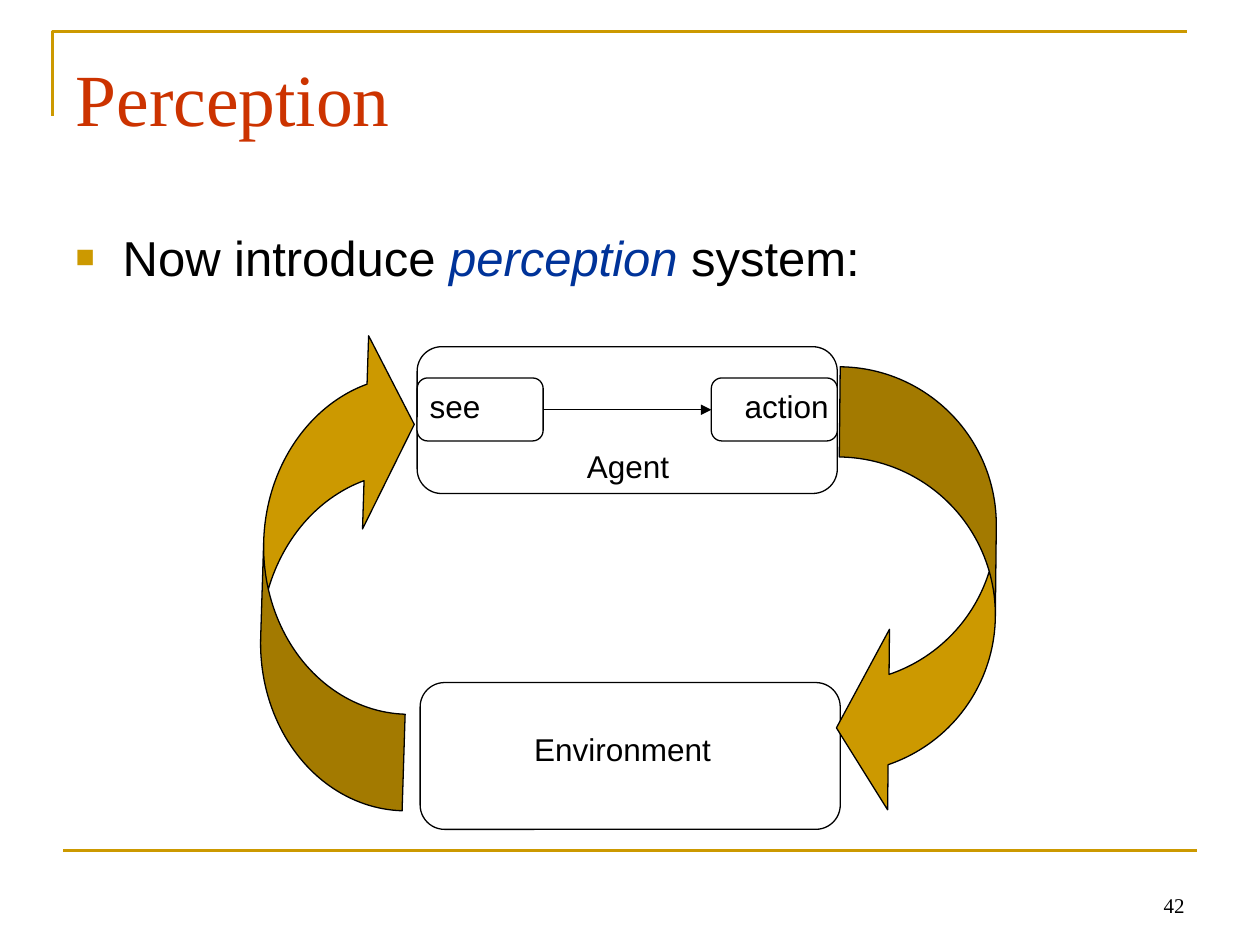
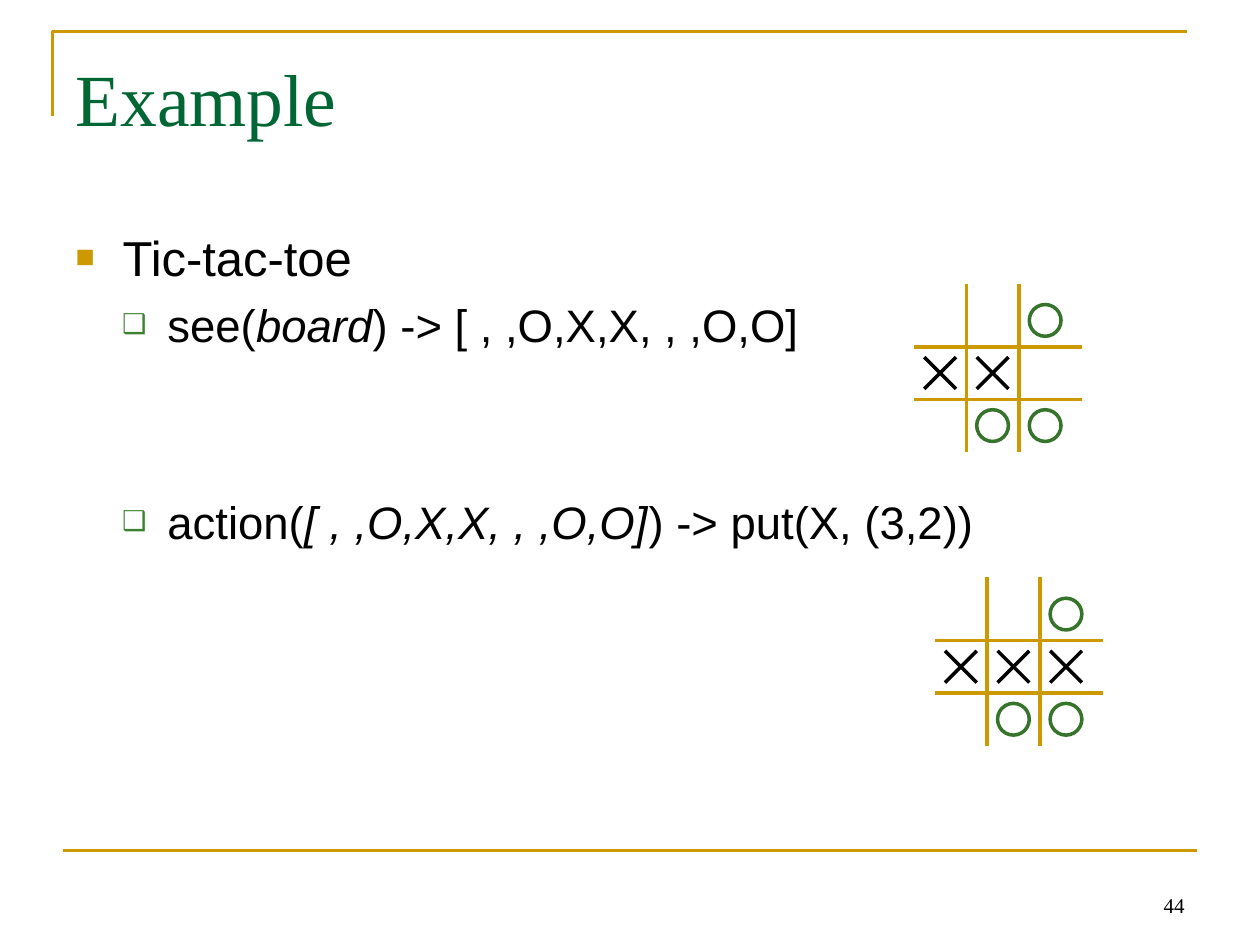
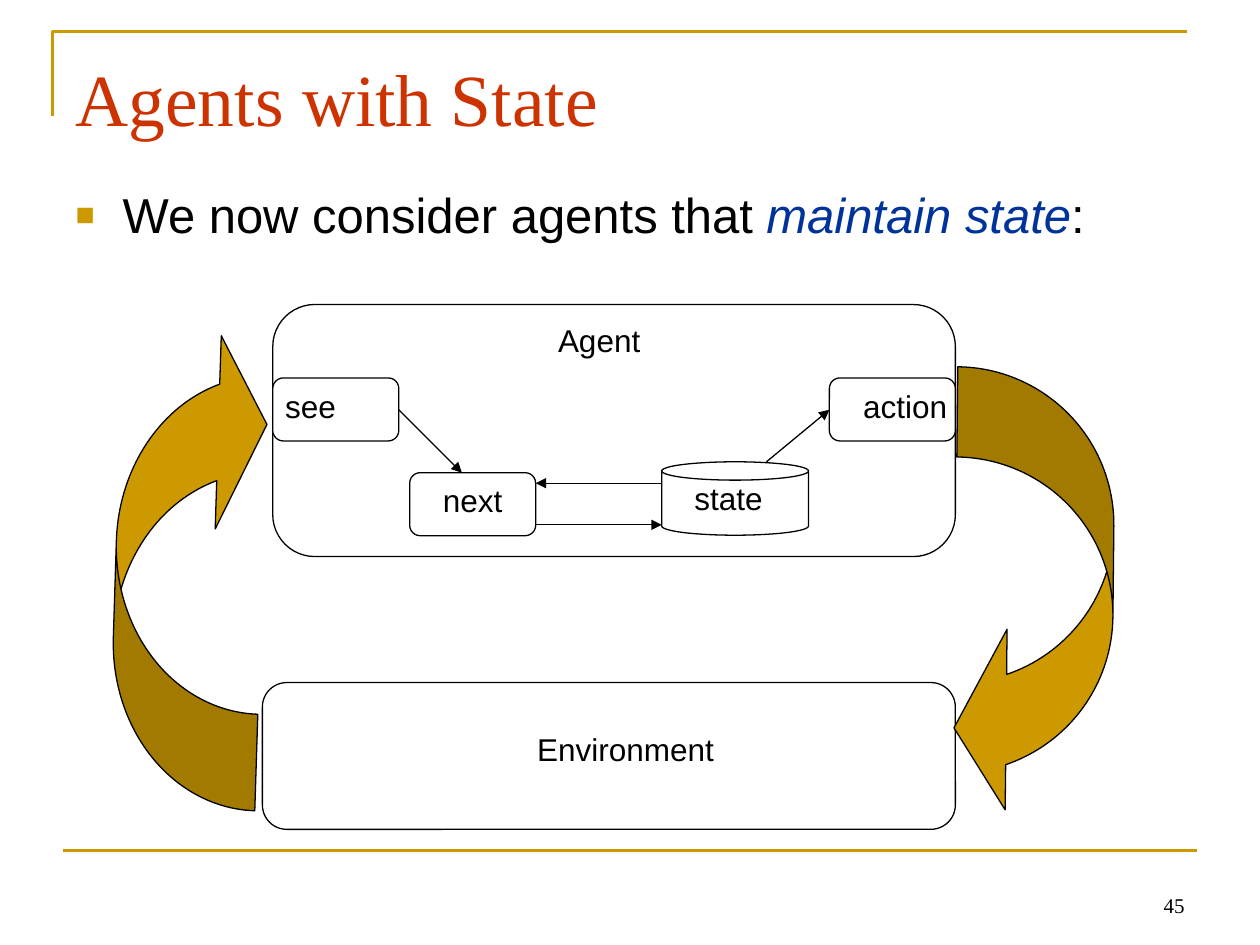
from lxml.etree import SubElement
from pptx import Presentation
from pptx.dml.color import RGBColor
from pptx.enum.shapes import MSO_CONNECTOR as Connector, MSO_SHAPE as Shape
from pptx.enum.text import MSO_ANCHOR as Anchor, MSO_AUTO_SIZE as AutoSize, PP_ALIGN as Align
from pptx.oxml.ns import qn
from pptx.util import Cm, Pt

GOLD, GREEN, BLACK, WHITE = "CC9900", "35742A", "000000", "FFFFFF"
RED, DARK_GREEN, BLUE, BULLET_GREEN = "CC3300", "006633", "003399", "3B812F"
SANS, SERIF = "Arial", "Times New Roman"
BULLETS = [
    {"char": "■", "color": GOLD, "percent": 65, "indent": 0.95, "hang": 0.95, "size": 28, "before": 7},
    {"char": "❑", "color": BULLET_GREEN, "percent": 60, "indent": 1.85, "hang": 0.91, "size": 26, "before": 6.5},
]
CELL, MARK, GAP, GRID = 1.06, 0.64, 0.21, 3.39


def rgb(value):
    return RGBColor.from_string(value)


def set_font(font, name, size, color):
    font.name = name
    font.size = Pt(size)
    font.color.rgb = rgb(color)


def place(item, left, top, width, height):
    item.left, item.top, item.width, item.height = Cm(left), Cm(top), Cm(width), Cm(height)


def add_line(page, start, end, color=BLACK, width=0.75, arrow=False):
    line = page.shapes.add_connector(
        Connector.STRAIGHT, Cm(start[0]), Cm(start[1]), Cm(end[0]), Cm(end[1]))
    line.line.color.rgb = rgb(color)
    line.line.width = Pt(width)
    if arrow:
        SubElement(line.line._get_or_add_ln(), qn("a:tailEnd"), type="triangle")
    SubElement(line._element.spPr, qn("a:effectLst"))


def add_shape(page, kind, left, top, width, height, fill=WHITE, color=BLACK, weight=0.75):
    shape = page.shapes.add_shape(kind, Cm(left), Cm(top), Cm(width), Cm(height))
    shape.shadow.inherit = False
    shape.fill.solid()
    shape.fill.fore_color.rgb = rgb(fill)
    shape.line.color.rgb = rgb(color)
    shape.line.width = Pt(weight)
    return shape


def add_box(page, left, top, width=2.54, height=1.27):
    add_shape(page, Shape.ROUNDED_RECTANGLE, left, top, width, height)


def add_label(page, text, left, top, width=2.34, height=1.02, font=SANS, size=18):
    box = page.shapes.add_textbox(Cm(left), Cm(top), Cm(width), Cm(height))
    box.text_frame.word_wrap = True
    para = box.text_frame.paragraphs[0]
    para.text = text
    set_font(para.font, font, size, BLACK)
    return box.text_frame


def add_cycle_arrow(page, left, top, width, height, rotation):
    arrow = add_shape(page, Shape.CURVED_LEFT_ARROW, left, top, width, height, GOLD)
    arrow.adjustments[0] = 0.2 * height / width
    arrow.adjustments[1] = 0.4 * height / width
    arrow.adjustments[2] = 0.33
    arrow.rotation = rotation


def add_cycle(page, left, right):
    add_cycle_arrow(page, left, 6.56, 2.96, 9.74, 181.8)
    add_cycle_arrow(page, right, 7.41, 3.18, 9.1, 0.6)


def add_page(deck, title, title_color, number):
    page = deck.slides.add_slide(deck.slide_layouts[1])
    corner = page.shapes.build_freeform(Cm(1.06), Cm(2.33))
    corner.add_line_segments([(Cm(1.06), Cm(0.64)), (Cm(23.92), Cm(0.64))], close=False)
    frame = corner.convert_to_shape()
    frame.shadow.inherit = False
    frame.fill.background()
    frame.line.color.rgb = rgb(GOLD)
    frame.line.width = Pt(1.5)
    add_line(page, (1.27, 17.15), (24.13, 17.15), GOLD, 1.5)

    footer = add_label(page, number, 18.2, 17.36, 5.93, 1.27, SERIF, 12)
    footer.vertical_anchor = Anchor.BOTTOM
    footer.paragraphs[0].alignment = Align.RIGHT

    heading = page.shapes.title
    place(heading, 1.27, 0.76, 22.86, 3.18)
    heading.text_frame.auto_size = AutoSize.NONE
    heading.text_frame.vertical_anchor = Anchor.TOP
    heading.text_frame.margin_top = Cm(0.3)
    para = heading.text_frame.paragraphs[0]
    para.text = title
    para.alignment = Align.LEFT
    set_font(para.font, SERIF, 42, title_color)
    return page


def add_bullet(para, level, spans, before=None, accent=BLACK):
    style = BULLETS[level]
    para.level = level
    props = para._p.get_or_add_pPr()
    props.set("marL", str(Cm(style["indent"])))
    props.set("indent", str(-Cm(style["hang"])))
    SubElement(SubElement(props, qn("a:buClr")), qn("a:srgbClr"), val=style["color"])
    SubElement(props, qn("a:buSzPct"), val=str(style["percent"] * 1000))
    SubElement(props, qn("a:buChar"), char=style["char"])
    para.space_before = Pt(before or style["before"])
    set_font(para.font, SANS, style["size"], BLACK)
    for text, emphasised in spans:
        span = para.add_run()
        span.text = text
        if emphasised:
            span.font.italic = True
            span.font.color.rgb = rgb(accent)


def open_body(page, top, height):
    body = page.placeholders[1]
    place(body, 1.27, top, 22.86, height)
    body.text_frame.auto_size = AutoSize.NONE
    return body.text_frame


def add_board(page, left, top, rows):
    for step in (1, 2):
        across, down = left + step * CELL, top + GAP + step * CELL
        add_line(page, (across, top), (across, top + GRID), GOLD, 2)
        add_line(page, (left, down), (left + GRID, down), GOLD, 2)
    for row, marks in enumerate(rows):
        for column, mark in enumerate(marks):
            x, y = left + GAP + column * CELL, top + 2 * GAP + row * CELL
            if mark == "X":
                add_line(page, (x, y), (x + MARK, y + MARK), BLACK, 2)
                add_line(page, (x + MARK, y), (x, y + MARK), BLACK, 2)
            elif mark == "O":
                add_shape(page, Shape.OVAL, x, y, MARK, MARK, WHITE, GREEN, 2)


def add_perception(deck):
    page = add_page(deck, "Perception", RED, "42")
    body = open_body(page, 4.45, 12.57)
    add_bullet(body.paragraphs[0], 0, [
        ("Now introduce ", False), ("perception ", True), ("system:", False)], accent=BLUE)
    add_box(page, 8.41, 6.99, 8.47, 2.96)
    add_box(page, 8.47, 13.76, 8.47, 2.96)
    add_label(page, "Environment", 10.52, 14.6, 4.45)
    add_label(page, "Agent", 11.58, 8.89)
    add_box(page, 8.41, 7.62)
    add_box(page, 14.34, 7.62)
    add_label(page, "see", 8.41, 7.67)
    add_label(page, "action", 14.76, 7.67)
    add_cycle(page, 5.3, 16.89)
    add_line(page, (10.95, 8.26), (14.34, 8.26), arrow=True)


def add_example(deck):
    page = add_page(deck, "Example", DARK_GREEN, "44")
    body = open_body(page, 4.45, 12.57)
    add_bullet(body.paragraphs[0], 0, [("Tic-tac-toe", False)])
    add_bullet(body.add_paragraph(), 1, [
        ("see(", False), ("board", True), (") -> [ , ,O,X,X, , ,O,O]", False)])
    add_bullet(body.add_paragraph(), 1, [
        ("action(", False), ("[ , ,O,X,X, , ,O,O]", True), (") -> put(X, (3,2))", False)], before=81)
    add_board(page, 18.42, 5.72, ["  O", "XX ", " OO"])
    add_board(page, 18.84, 11.64, ["  O", "XXX", " OO"])


def add_agents_with_state(deck):
    page = add_page(deck, "Agents with State", RED, "45")
    body = open_body(page, 3.6, 13.44)
    add_bullet(body.paragraphs[0], 0, [
        ("We now consider agents that ", False), ("maintain state", True), (":", False)], accent=BLUE)
    add_box(page, 5.5, 6.14, 13.76, 5.08)
    add_box(page, 5.29, 13.76, 13.97, 2.96)
    add_label(page, "Environment", 10.58, 14.6, 4.45)
    add_label(page, "Agent", 11, 6.35)
    add_box(page, 5.5, 7.62)
    add_box(page, 16.72, 7.62)
    add_label(page, "see", 5.5, 7.67)
    add_label(page, "action", 17.15, 7.67)
    add_cycle(page, 2.33, 19.26)
    add_box(page, 8.26, 9.53)
    add_label(page, "next", 8.68, 9.58)
    add_shape(page, Shape.CAN, 13.34, 9.31, 2.96, 1.48)
    add_label(page, "state", 13.75, 9.53)
    for start, end in [
        ((10.8, 10.58), (13.34, 10.58)),
        ((13.34, 9.74), (10.8, 9.74)),
        ((8.04, 8.26), (9.31, 9.53)),
        ((15.45, 9.31), (16.72, 8.26)),
    ]:
        add_line(page, start, end, arrow=True)


def main():
    deck = Presentation()
    deck.slide_width, deck.slide_height = Cm(25.4), Cm(19.05)
    add_perception(deck)
    add_example(deck)
    add_agents_with_state(deck)
    deck.save("out.pptx")


if __name__ == "__main__":
    main()
